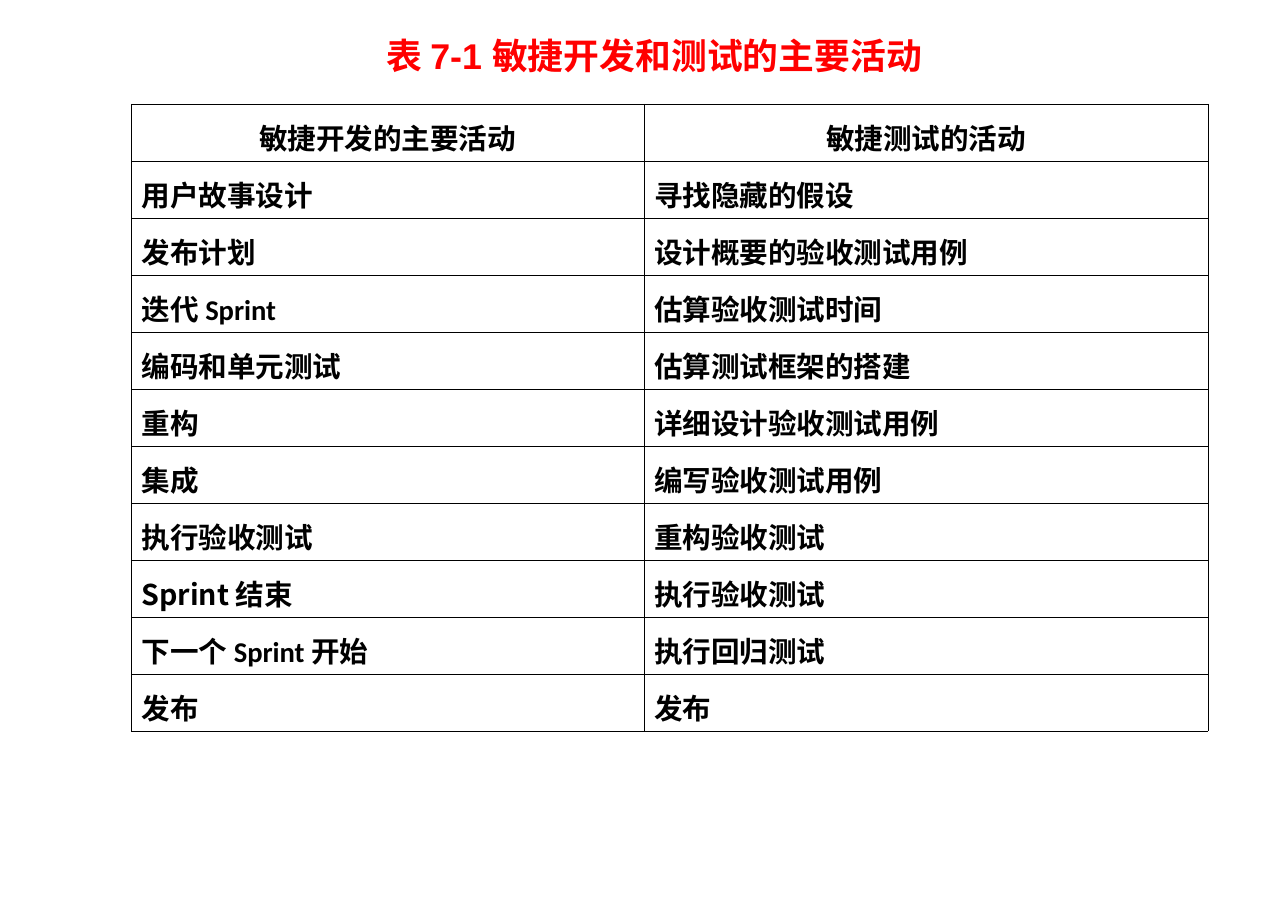
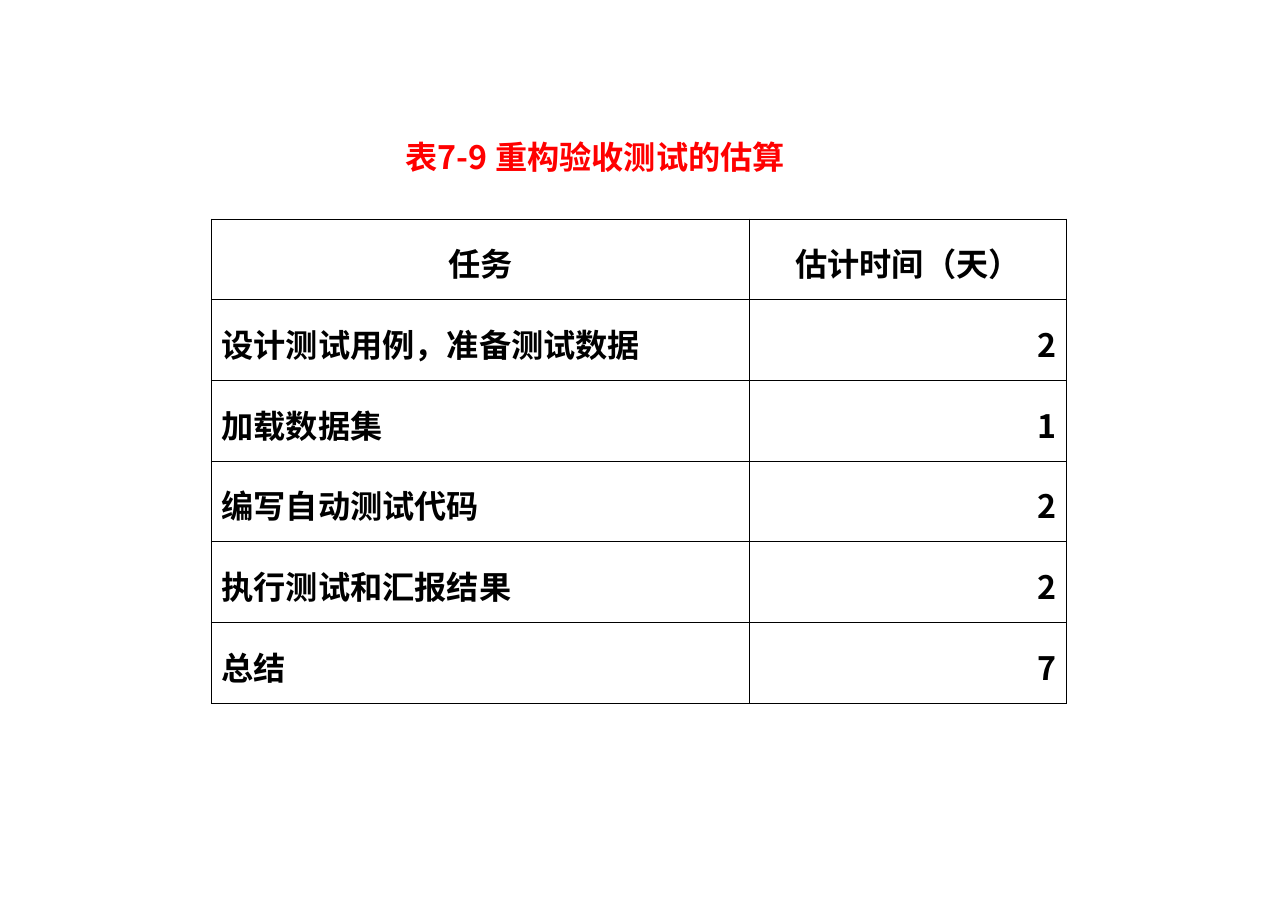
"""Build two slides of tables on agile development and testing."""
from lxml.etree import SubElement
from pptx import Presentation
from pptx.dml.color import RGBColor
from pptx.enum.text import MSO_ANCHOR, MSO_AUTO_SIZE, PP_ALIGN
from pptx.oxml.ns import qn
from pptx.util import Inches, Pt

RED = RGBColor(0xFF, 0x00, 0x00)
BLACK = RGBColor(0x00, 0x00, 0x00)
WHITE = RGBColor(0xFF, 0xFF, 0xFF)
CJK = "Noto Sans CJK SC"

ACTIVITIES = [
    ("敏捷开发的主要活动", "敏捷测试的活动"),
    ("用户故事设计", "寻找隐藏的假设"),
    ("发布计划", "设计概要的验收测试用例"),
    ("迭代 Sprint", "估算验收测试时间"),
    ("编码和单元测试", "估算测试框架的搭建"),
    ("重构", "详细设计验收测试用例"),
    ("集成", "编写验收测试用例"),
    ("执行验收测试", "重构验收测试"),
    ("Sprint 结束", "执行验收测试"),
    ("下一个 Sprint 开始", "执行回归测试"),
    ("发布", "发布"),
]
ESTIMATES = [
    ("任务", "估计时间（天）"),
    ("设计测试用例，准备测试数据", "2"),
    ("加载数据集", "1"),
    ("编写自动测试代码", "2"),
    ("执行测试和汇报结果", "2"),
    ("总结", "7"),
]
SLIDES = [
    dict(title="表 7-1 敏捷开发和测试的主要活动", box=(2.66, 0.21, 4.84, 0.44),
         font="Arial", title_size=20, align=PP_ALIGN.CENTER, rows=ACTIVITIES,
         at=(1.02, 0.81), cols=(3.98, 4.38), height=4.87, size=16, fill=WHITE),
    dict(title="表7-9 重构验收测试的估算", box=(3.05, 1.02, 3.75, 0.4),
         font=CJK, title_size=18, align=PP_ALIGN.LEFT, rows=ESTIMATES,
         at=(1.64, 1.7), cols=(4.18, 2.46), height=3.76, size=18, fill=None),
]


def style_run(r, font, size, color):
    """Format a bold run, with the CJK font for Chinese characters."""
    r.font.name, r.font.size, r.font.bold = font, Pt(size), True
    r.font.color.rgb = color
    SubElement(r.font._element, qn("a:ea"), typeface=CJK)


def add_borders(cell):
    """Draw a thin black line on each side of a cell."""
    tc_pr = cell._tc.get_or_add_tcPr()
    for side in ("a:lnL", "a:lnR", "a:lnT", "a:lnB"):
        ln = SubElement(tc_pr, qn(side), w=str(Pt(0.45)))
        line_fill = SubElement(ln, qn("a:solidFill"))
        SubElement(line_fill, qn("a:srgbClr"), val=str(BLACK))


prs = Presentation()
prs.slide_width, prs.slide_height = Inches(10), Inches(7.09)

for item in SLIDES:
    s = prs.slides.add_slide(prs.slide_layouts[5])
    sp = s.shapes.title
    sp.left, sp.top, sp.width, sp.height = map(Inches, item["box"])
    tf = sp.text_frame
    tf.text = item["title"]
    tf.word_wrap = True
    tf.auto_size = MSO_AUTO_SIZE.SHAPE_TO_FIT_TEXT
    tf.vertical_anchor = MSO_ANCHOR.MIDDLE
    p = tf.paragraphs[0]
    p.alignment = item["align"]
    style_run(p.runs[0], item["font"], item["title_size"], RED)

    rows, cols = item["rows"], item["cols"]
    left, top = map(Inches, item["at"])
    table = s.shapes.add_table(len(rows), len(cols), left, top,
                               Inches(sum(cols)), Inches(item["height"])).table
    for column, width in zip(table.columns, cols):
        column.width = Inches(width)
    for i, row in enumerate(rows):
        for j, text in enumerate(row):
            cell = table.cell(i, j)
            add_borders(cell)
            if item["fill"] is None:
                cell.fill.background()
            else:
                cell.fill.solid()
                cell.fill.fore_color.rgb = item["fill"]
            cell.vertical_anchor = MSO_ANCHOR.MIDDLE
            cell.margin_left = cell.margin_right = Inches(0.08)
            p = cell.text_frame.paragraphs[0]
            p.line_spacing = 1.15
            if i == 0:
                p.alignment = PP_ALIGN.CENTER
            elif text.isdigit():
                p.alignment = PP_ALIGN.RIGHT
            else:
                p.alignment = PP_ALIGN.LEFT
            rest = text.lstrip("Sprint 0123456789")
            lead = text[:len(text) - len(rest)]
            for part, font in ((lead, CJK), (rest, "Calibri")):
                if part:
                    r = p.add_run()
                    r.text = part
                    style_run(r, font, item["size"], BLACK)

prs.save("out.pptx")
